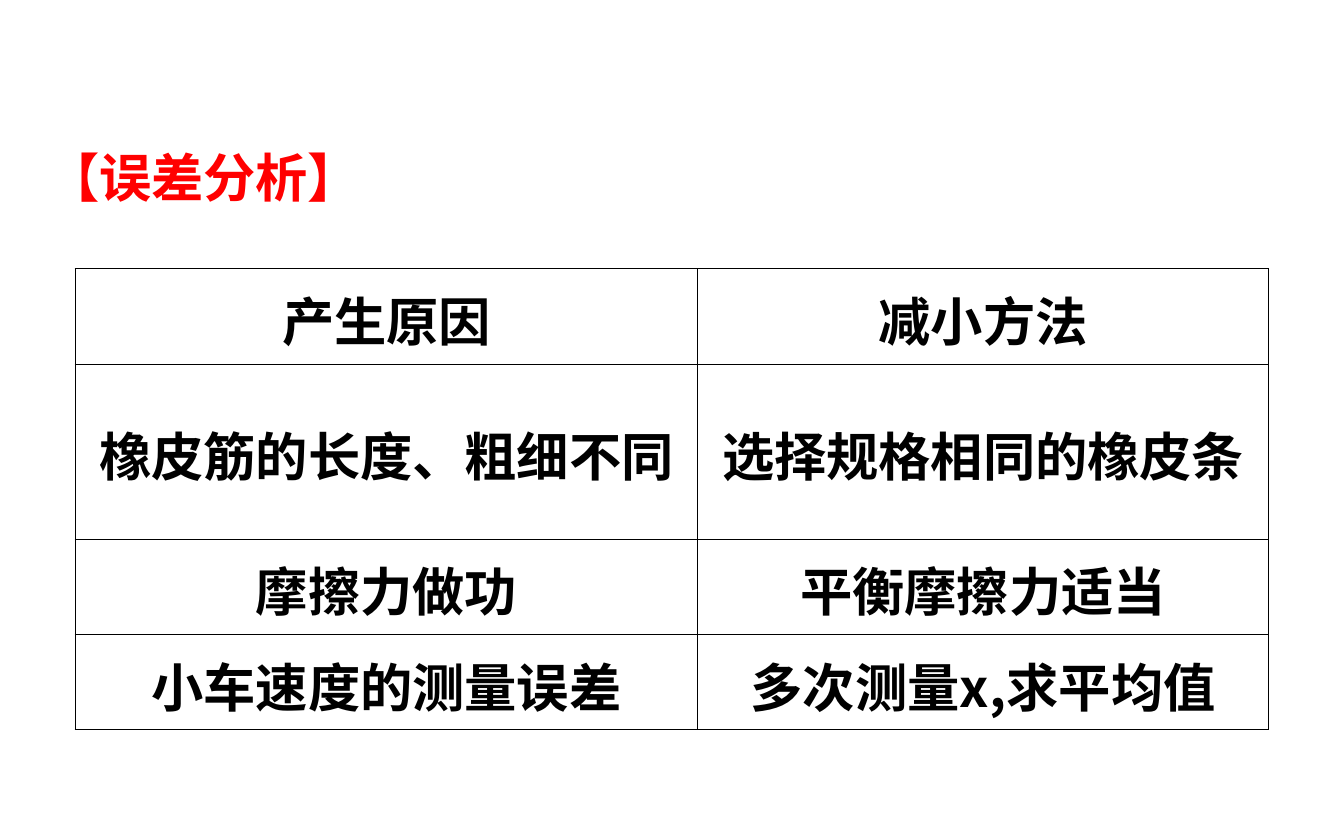
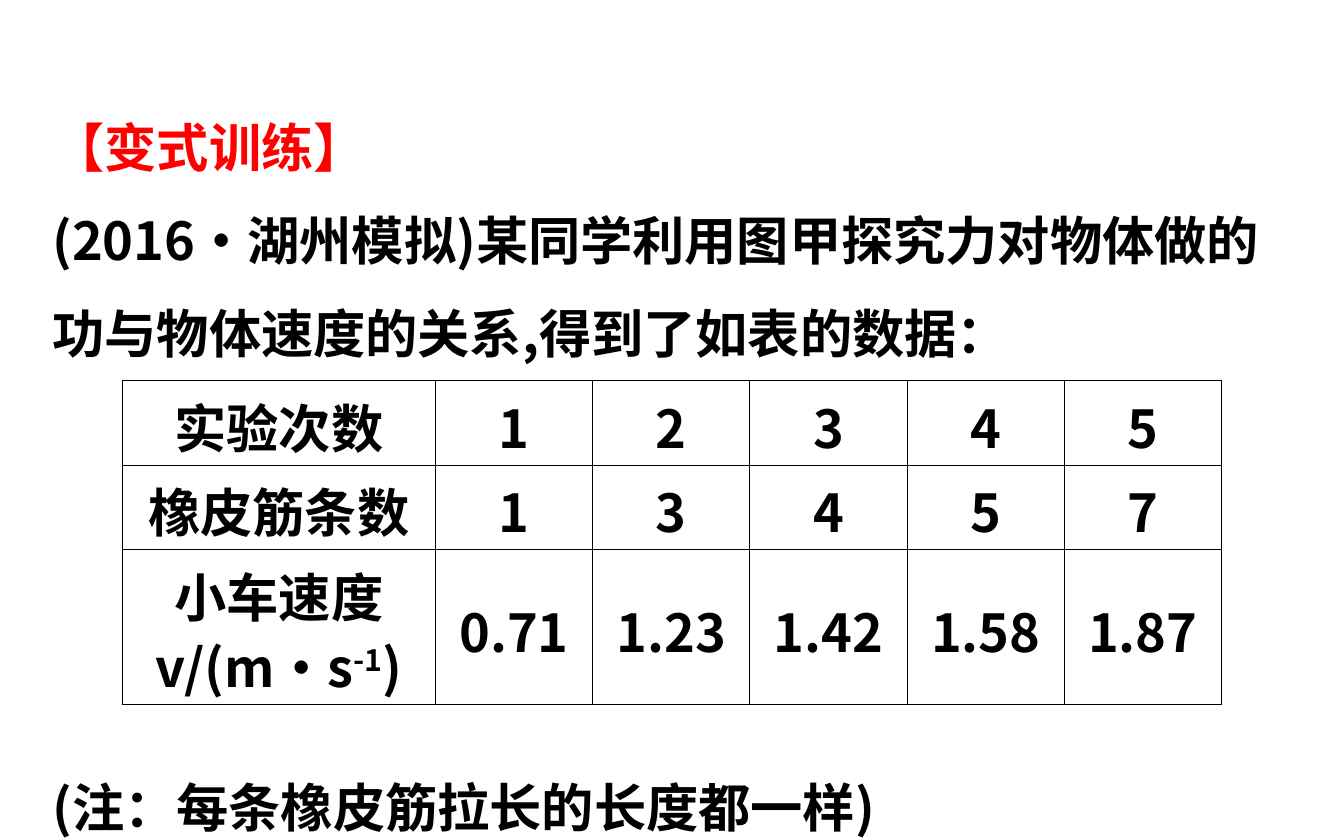
from pptx import Presentation
from pptx.dml.color import RGBColor as Rgb
from pptx.enum.text import MSO_ANCHOR as Anchor, MSO_AUTO_SIZE as Fit, PP_ALIGN as Align
from pptx.oxml import parse_xml
from pptx.oxml.ns import nsdecls, qn
from pptx.util import Emu, Pt

PX = 9144
FONT = "Noto Sans CJK SC"
SIZE = 28
LEAD = 50
ROW_LEAD = 37.5
COLORS = {"head": "FF0000", "text": "000000", "line": "000000"}
THICK, THIN = 0.75, 0.45

CAUSES = [
    ["产生原因", "减小方法"],
    ["橡皮筋的长度、粗细不同", "选择规格相同的橡皮条"],
    ["摩擦力做功", "平衡摩擦力适当"],
    ["小车速度的测量误差", "多次测量x,求平均值"],
]
TRIALS = [
    ["实验次数", "1", "2", "3", "4", "5"],
    ["橡皮筋条数", "1", "3", "4", "5", "7"],
    ["小车速度\nv/(m·s^-1^)", "0.71", "1.23", "1.42", "1.58", "1.87"],
]
TASK = [
    "(2016·湖州模拟)某同学利用图甲探究力对物体做的功与物体速度的关系,得到了如表的数据：",
    "(注：每条橡皮筋拉长的长度都一样)",
]


def px(num):
    return Emu(num * PX)


def style(para, color, align, lead, before=0):
    props = para._p.get_or_add_pPr()
    props.set("marL", "0")
    props.set("indent", "0")
    props.append(parse_xml(f"<a:buNone {nsdecls('a')}/>"))
    para.alignment = align
    para.line_spacing = Pt(lead)
    para.space_before = Pt(before)
    font = para.font
    font.size = Pt(SIZE)
    font.bold = True
    font.color.rgb = Rgb.from_string(COLORS[color])
    font.name = FONT
    east = parse_xml(f'<a:ea {nsdecls("a")} typeface="{FONT}"/>')
    props.find(qn("a:defRPr")).append(east)


def write(para, text):
    for i, part in enumerate(text.split("^")):
        run = para.add_run()
        run.text = part
        if i % 2:
            run.font._element.set("baseline", "30000")


def fill_box(shape, box, lines, color, gap=0):
    shape.left, shape.top, shape.width, shape.height = map(px, box)
    frame = shape.text_frame
    frame.word_wrap = True
    frame.auto_size = Fit.NONE
    frame.vertical_anchor = Anchor.TOP
    for i, line in enumerate(lines):
        para = frame.add_paragraph() if i else frame.paragraphs[0]
        style(para, color, Align.LEFT, LEAD, gap if i else 0)
        write(para, line)


def edge(cell, side, width):
    cell._tc.get_or_add_tcPr().append(parse_xml(
        f'<a:ln{side} {nsdecls("a")} w="{Pt(width)}"><a:solidFill>'
        f'<a:srgbClr val="{COLORS["line"]}"/></a:solidFill></a:ln{side}>'))


def fill_cell(cell, text, rims):
    for side, rim in rims.items():
        edge(cell, side, THICK if rim else THIN)
    cell.fill.background()
    cell.vertical_anchor = Anchor.MIDDLE
    cell.margin_top, cell.margin_bottom = px(9), px(1)
    for i, line in enumerate(text.split("\n")):
        frame = cell.text_frame
        para = frame.add_paragraph() if i else frame.paragraphs[0]
        style(para, "text", Align.CENTER, ROW_LEAD)
        write(para, line)


def add_grid(slide, left, top, cols, rows, data):
    box = map(px, (left, top, sum(cols), sum(rows)))
    grid = slide.shapes.add_table(len(rows), len(cols), *box).table
    grid.first_row = grid.horz_banding = False
    for col, width in zip(grid.columns, cols):
        col.width = px(width)
    for r, high in enumerate(rows):
        grid.rows[r].height = px(high)
        for c, text in enumerate(data[r]):
            rims = {"L": c == 0, "R": c == len(cols) - 1,
                    "T": r == 0, "B": r == len(rows) - 1}
            fill_cell(grid.cell(r, c), text, rims)


def add_slide(deck, layout, left, top, head):
    slide = deck.slides.add_slide(deck.slide_layouts[layout])
    fill_box(slide.shapes.title, (left, top, 943, 80), [head], "head")
    return slide


def main():
    deck = Presentation()
    deck.slide_width, deck.slide_height = px(1000), px(625)

    slide = add_slide(deck, 5, 25, 80, "【误差分析】")
    add_grid(slide, 56, 200, [463, 425], [71, 130, 71, 71], CAUSES)

    slide = add_slide(deck, 1, 29, 58, "【变式训练】")
    fill_box(slide.placeholders[1], (29, 127, 943, 497), TASK, "text", 204)
    add_grid(slide, 91, 283, [233] + [117] * 5, [63, 63, 115], TRIALS)

    deck.save("out.pptx")


if __name__ == "__main__":
    main()
